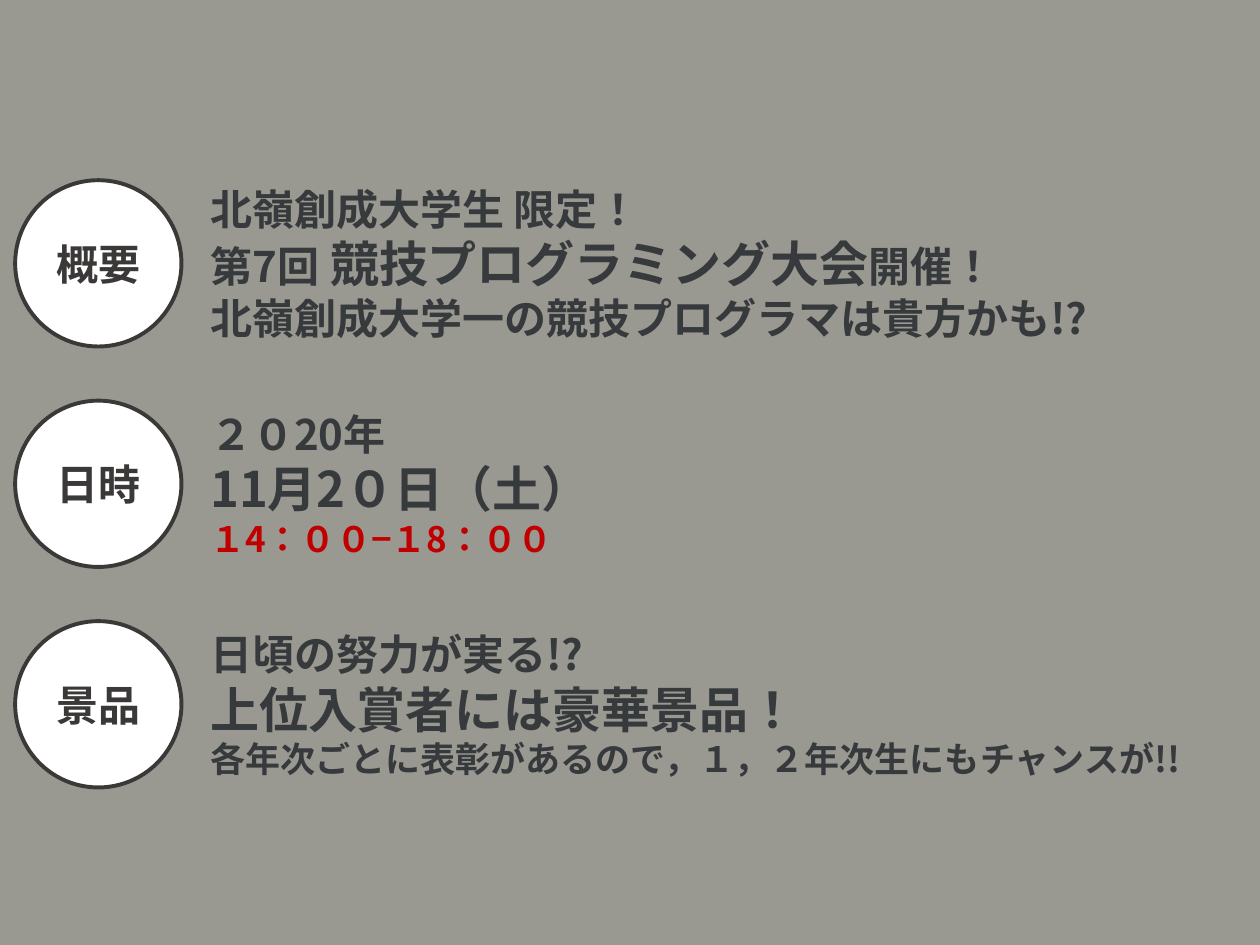
from lxml.etree import SubElement
from pptx import Presentation
from pptx.dml.color import RGBColor
from pptx.enum.lang import MSO_LANGUAGE_ID as Language
from pptx.enum.shapes import MSO_SHAPE as Shape
from pptx.enum.text import MSO_ANCHOR as Anchor, PP_ALIGN as Align
from pptx.oxml.ns import qn
from pptx.util import Inches, Pt

WIDTH, HEIGHT = Inches(10), Inches(7.5)
FIRST_ROW, ROW_PITCH, ROW_HEIGHT = Inches(1.43), Inches(1.75), Inches(1.32)
LABEL_LEFT, DETAIL_LEFT = Inches(0.12), Inches(1.57)
CJK_FONT = "Noto Sans CJK JP"
PAPER, FACE, INK, BODY, HALO, ALERT = (
    "9A9991", "FFFFFF", "3B3838", "373A3C", "E7E6E6", "C00000")

SECTIONS = [
    ("概要", 0.73, [
        [("北嶺創成大学生 限定！", 24, BODY)],
        [("第7回", 24, BODY), (" 競技プログラミング大会", 28, BODY),
         ("開催！", 24, BODY)],
        [("北嶺創成大学一の競技プログラマは貴方かも!?", 24, BODY)]]),
    ("日時", 0.73, [
        [("２０20年", 24, BODY)],
        [("11月2０日（土）", 28, BODY)],
        [("１4：００−１8：００", 20, ALERT)]]),
    ("景品", 0.82, [
        [("日頃の努力が実る!?", 24, BODY)],
        [("上位入賞者には豪華景品！", 28, BODY)],
        [("各年次ごとに表彰があるので，１，２年次生にもチャンスが!!", 20, BODY)]]),
]


def color(value):
    return RGBColor.from_string(value)


def paint(fill, value):
    fill.solid()
    fill.fore_color.rgb = color(value)


def apply(target, values):
    for name, value in values.items():
        setattr(target, name, value)


def add_words(paragraph, words, size, ink, font):
    run = paragraph.add_run()
    run.text = words
    apply(run.font, {"size": Pt(size), "bold": True, "name": font,
                     "language_id": Language.JAPANESE})
    run.font.color.rgb = color(ink)
    props = run.font._element
    SubElement(props, qn("a:ea")).set("typeface", CJK_FONT)
    return props


def add_halo(props):
    outline = SubElement(props, qn("a:ln"), w=str(Pt(0.75)))
    fill = SubElement(outline, qn("a:solidFill"))
    SubElement(fill, qn("a:srgbClr"), val=HALO)
    props.insert(0, outline)


def add_label(slide, box, words):
    badge = slide.shapes.add_shape(Shape.OVAL, *box)
    badge.shadow.inherit = False
    paint(badge.fill, FACE)
    paint(badge.line.fill, INK)
    badge.line.width = Pt(2.25)
    apply(badge.text_frame, {"word_wrap": True, "vertical_anchor": Anchor.MIDDLE})
    heading = badge.text_frame.paragraphs[0]
    heading.alignment = Align.CENTER
    add_words(heading, words, 24, INK, "Calibri")


def add_details(slide, box, lines):
    frame = slide.shapes.add_textbox(*box).text_frame
    apply(frame, {"word_wrap": True, "vertical_anchor": Anchor.MIDDLE})
    for index, line in enumerate(lines):
        paragraph = frame.add_paragraph() if index else frame.paragraphs[0]
        for words, size, ink in line:
            add_halo(add_words(paragraph, words, size, ink, CJK_FONT))


def main():
    deck = Presentation()
    apply(deck, {"slide_width": WIDTH, "slide_height": HEIGHT})
    slide = deck.slides.add_slide(deck.slide_layouts[6])
    paint(slide.background.fill, PAPER)
    for row, (label, share, lines) in enumerate(SECTIONS):
        top = FIRST_ROW + row * ROW_PITCH
        add_label(slide, (LABEL_LEFT, top, ROW_HEIGHT, ROW_HEIGHT), label)
        add_details(slide, (DETAIL_LEFT, top, int(WIDTH * share), ROW_HEIGHT), lines)
    deck.save("out.pptx")


if __name__ == "__main__":
    main()
